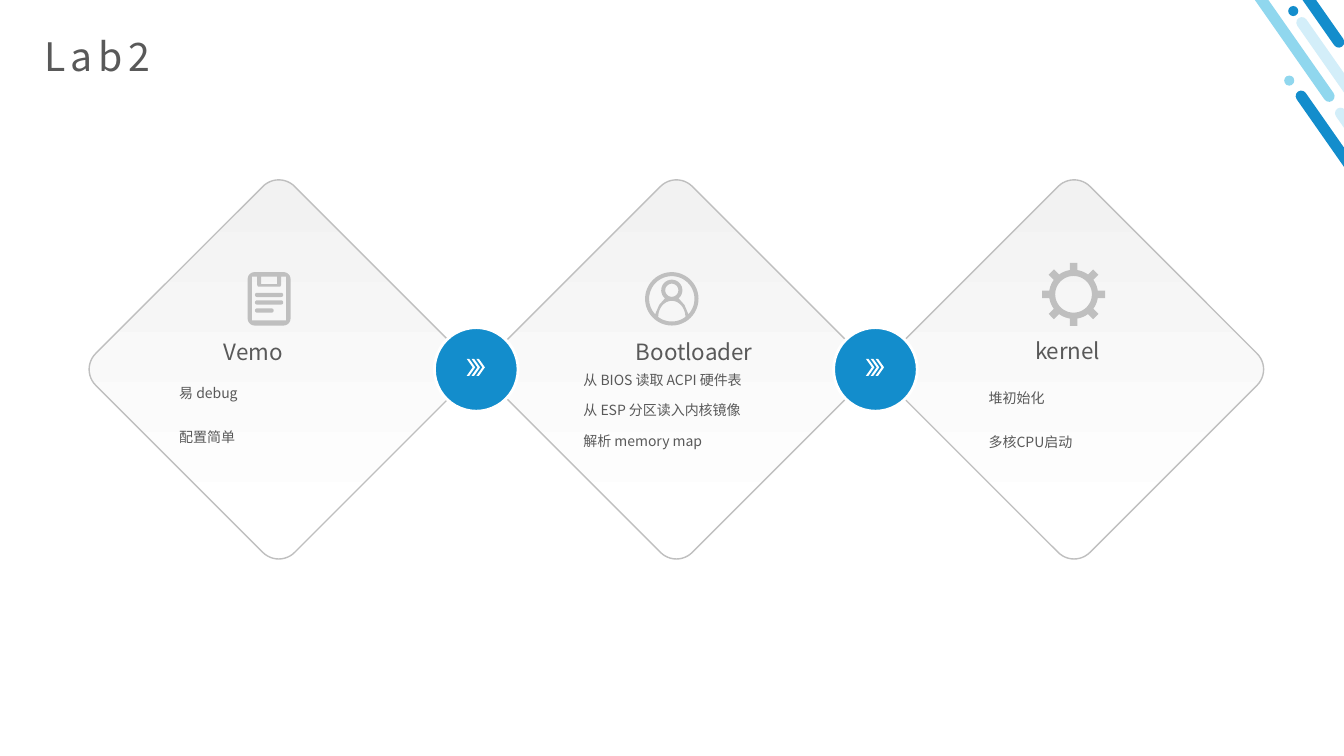
import math
from pptx import Presentation
from pptx import util as u
from pptx.dml.color import RGBColor
from pptx.enum import shapes, text
from pptx.oxml.ns import qn

COLORS = {
    "blue": "138DCC", "sky": "90D7EE", "mist": "D3EEF9", "ink": "595959",
    "grey": "BFBFBF", "pale": "F2F2F2", "white": "FFFFFF",
}
CELL = u.Inches(0.1)
COLUMNS, ROWS = 133.33, 75


def write(frame, lines, size=10, color="ink", font="Noto Sans CJK SC",
          line_spacing=None, before=0, tracking=0):
    """Fill a text frame with one paragraph per line."""
    for index, line in enumerate(lines):
        paragraph = frame.paragraphs[0] if index == 0 else frame.add_paragraph()
        paragraph.space_before = u.Pt(before)
        if line_spacing:
            paragraph.line_spacing = line_spacing
        run = paragraph.add_run()
        run.text = line
        run.font.size = u.Pt(size)
        run.font.name = font
        run.font.color.rgb = RGBColor.from_string(COLORS[color])
        properties = run._r.get_or_add_rPr()
        east_asian = properties.makeelement(qn("a:ea"), {"typeface": font})
        properties.find(qn("a:latin")).addnext(east_asian)
        if tracking:
            properties.set("spc", str(tracking * 100))


def arc(x, y, rx, ry, start, end, steps=24):
    """Return points along an elliptical arc, in degrees clockwise from the right."""
    angles = [math.radians(start + (end - start) * i / steps) for i in range(steps + 1)]
    return [(x + rx * math.cos(a), y + ry * math.sin(a)) for a in angles]


def circle(x, y, radius):
    """Return the outline of a circle."""
    return arc(x, y, radius, radius, 0, 360, 48)


def bar(left, top, width, height, radius):
    """Return the outline of a box with rounded corners."""
    right, bottom = left + width - radius, top + height - radius
    corners = [(right, bottom), (left + radius, bottom),
               (left + radius, top + radius), (right, top + radius)]
    return [point for turn, (x, y) in enumerate(corners)
            for point in arc(x, y, radius, radius, turn * 90, turn * 90 + 90, 6)]


def clipboard(x, y):
    """Return the contours of a clipboard."""
    page = [(-1.7, -2.2), (-1.2, -2.2), (-1.2, -1.4), (-1.1, -1.2), (1.1, -1.2),
            (1.2, -1.4), (1.2, -2.2), (1.7, -2.2), (1.7, 2.15), (-1.7, 2.15)]
    notes = [bar(x - 1.4, y + row, width, 0.42, 0.2)
             for row, width in ((-0.6, 2.8), (0.15, 2.8), (0.95, 1.85))]
    return [bar(x - 2.13, y - 2.65, 4.26, 5.3, 0.7),
            [(x + dx, y + dy) for dx, dy in page],
            bar(x - 0.8, y - 2.2, 1.6, 0.75, 0)] + notes


def person(x, y):
    """Return the contours of a person inside a ring."""
    around = (arc(x, y, 2.25, 2.25, 43, -223, 48) + [(x - 1.25, y + 0.6)]
              + arc(x, y - 0.85, 1.05, 1.05, 130, 410) + [(x + 1.25, y + 0.6)])
    body = arc(x, y + 1.8, 1.35, 1.6, 180, 360) + arc(x, y, 2.25, 2.25, 53, 127)
    return [circle(x, y, 2.65), around, body, circle(x, y - 0.85, 0.65)]


def gear(x, y):
    """Return the contours of a gear with eight teeth."""
    rim = []
    for angle in range(0, 360, 45):
        a = math.radians(angle)
        rim += [(x + r * math.cos(a) - s * math.sin(a), y + r * math.sin(a) + s * math.cos(a))
                for r, s in ((2.4, -0.37), (3.12, -0.37), (3.12, 0.37), (2.4, 0.37))]
        rim += arc(x, y, 2.43, 2.43, angle + 9, angle + 36, 6)
    return [rim, circle(x, y, 1.82)]


def chevron(x, y):
    """Return the contour of an arrow pointing right."""
    return [[(x + dx, y + dy) for dx, dy in
             ((0, -0.85), (0.25, -0.85), (0.85, 0), (0.25, 0.85), (0, 0.85), (0.6, 0))]]


class Deck:
    """Style and current slide, with lengths in grid columns and rows."""

    def __init__(self):
        """Open a blank slide."""
        self.show = Presentation()
        self.show.slide_width = u.Inches(COLUMNS / 10)
        self.show.slide_height = u.Inches(ROWS / 10)
        self.slide = self.show.slides.add_slide(self.show.slide_layouts[6])

    def color(self, name):
        """Look up a colour."""
        return RGBColor.from_string(COLORS[name])

    def shape(self, kind, box, fill, rotation=0, corner=None, line=None, width=1):
        """Add a preset shape, with a gradient if fill is a pair."""
        item = self.slide.shapes.add_shape(kind, *[int(n * CELL) for n in box])
        item.rotation = rotation
        if corner is not None:
            item.adjustments[0] = corner
        if isinstance(fill, tuple):
            item.fill.gradient()
            item.fill.gradient_angle = 315
            for stop, name, share in zip(item.fill.gradient_stops, fill, (0.03, 0.91)):
                stop.color.rgb = self.color(name)
                stop.position = share
        else:
            item.fill.solid()
            item.fill.fore_color.rgb = self.color(fill)
        self.finish(item, line, width)

    def outline(self, contours, fill):
        """Add a filled freeform whose inner contours are holes."""
        scaled = [[(x * 1000, y * 1000) for x, y in contour] for contour in contours]
        builder = self.slide.shapes.build_freeform(*scaled[0][0], scale=CELL / 1000)
        for index, contour in enumerate(scaled):
            if index:
                builder.move_to(*contour[0])
            builder.add_line_segments(contour[1:], close=True)
        item = builder.convert_to_shape()
        item.fill.solid()
        item.fill.fore_color.rgb = self.color(fill)
        self.finish(item)

    def finish(self, item, line=None, width=1):
        """Set the border and remove the shadow."""
        item.shadow.inherit = False
        if line:
            item.line.color.rgb = self.color(line)
            item.line.width = u.Pt(width)
        else:
            item.line.fill.background()

    def label(self, box, lines, anchor=text.MSO_ANCHOR.MIDDLE, wrap=True, **style):
        """Add a text box."""
        frame = self.slide.shapes.add_textbox(*[int(n * CELL) for n in box]).text_frame
        frame.word_wrap = wrap
        frame.vertical_anchor = anchor
        write(frame, lines, **style)


def main():
    """Build the slide."""
    deck = Deck()
    rounded, oval = shapes.MSO_SHAPE.ROUNDED_RECTANGLE, shapes.MSO_SHAPE.OVAL
    stripes = [(134.5, 7.1, 21.9, "blue"), (138.4, 8.8, 21.9, "mist"),
               (123.7, -15.1, 27.6, "sky"), (136.2, -0.7, 27.6, "mist"),
               (126.3, -15.3, 21.9, "blue")]
    for left, top, length, color in stripes:
        deck.shape(rounded, (left, top, 1.1, length), color, rotation=325, corner=0.5)
    for left, top, color in ((127.4, 7.5, "sky"), (127.8, 0.6, "blue")):
        deck.shape(oval, (left, top, 1, 1), color)

    deck.label((3.4, 2.7, 130.2, 5.7), ["Lab2"], size=28, tracking=4)

    for stage in range(3):
        deck.shape(rounded, (13.7 + 39.45 * stage, 22.7, 27.9, 27.9), ("pale", "white"),
                   rotation=45, corner=0.08, line="grey")
    for step in range(2):
        deck.shape(oval, (43.1 + 39.6 * step, 32.5, 8.3, 8.3), "blue", line="white", width=2)
        for mark in range(3):
            deck.outline(chevron(46.3 + 39.6 * step + 0.48 * mark, 36.45), "white")

    loose = dict(line_spacing=1.5, before=13.3)
    tight = dict(line_spacing=0.7, before=13.3)
    stages = [
        ("Vemo", (21.2, 33, 10.9), (16.8, 36.8), ["易 debug", "配置简单"],
         loose, clipboard(26.7, 29.65)),
        ("Bootloader", (62.1, 33, 13.8), (56.9, 36.8),
         ["从 BIOS 读取 ACPI 硬件表", "从 ESP 分区读入内核镜像", "解析 memory map"],
         tight, person(66.65, 29.65)),
        ("kernel", (101.7, 32.9, 10.9), (97.1, 37.3), ["堆初始化", "多核CPU启动"],
         loose, gear(106.5, 29.2)),
    ]
    for heading, heading_place, points_place, points, spacing, icon in stages:
        deck.outline(icon, "grey")
        deck.label((*heading_place, 3.7), [heading], size=16, wrap=heading != "Bootloader")
        deck.label((*points_place, 21.7, 10.6), points, anchor=text.MSO_ANCHOR.TOP, **spacing)

    deck.show.save("out.pptx")


if __name__ == "__main__":
    main()
